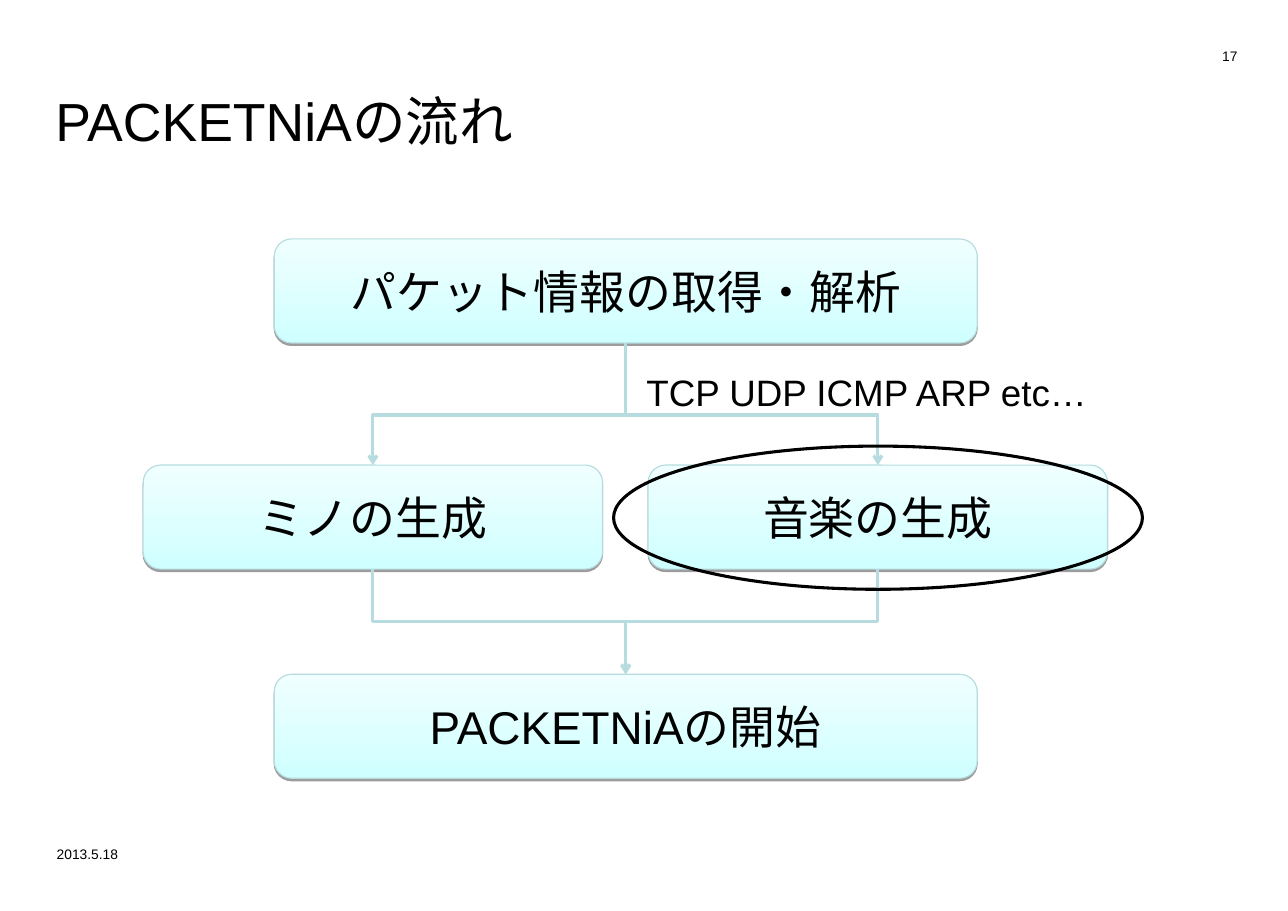
from lxml.etree import SubElement
from pptx import Presentation
from pptx.dml.color import RGBColor
from pptx.enum.shapes import MSO_CONNECTOR, MSO_SHAPE
from pptx.enum.text import MSO_ANCHOR, MSO_AUTO_SIZE, PP_ALIGN
from pptx.oxml.ns import qn
from pptx.util import Pt

COLORS = {name: RGBColor.from_string(value) for name, value in {
    "text": "000000", "line": "B6DCDF", "bottom": "CFFFFF", "top": "F0FFFF",
}.items()}


def write(shape, text, size, align=PP_ALIGN.LEFT, anchor=MSO_ANCHOR.TOP):
    frame = shape.text_frame
    frame.word_wrap = True
    frame.auto_size = MSO_AUTO_SIZE.NONE
    frame.vertical_anchor = anchor
    para = frame.paragraphs[0]
    para.alignment = align
    span = para.add_run()
    span.text = text
    span.font.size = Pt(size)
    span.font.name = "Arial"
    span.font.color.rgb = COLORS["text"]


def join_down(page, upper, lower, bend):
    """Draw an elbow arrow from the bottom of upper to the top of lower."""
    arrow = page.shapes.add_connector(MSO_CONNECTOR.ELBOW, 0, 0, 0, 0)
    arrow.begin_connect(upper, 2)
    arrow.end_connect(lower, 0)
    x1, y1, x2, y2 = arrow.begin_x, arrow.begin_y, arrow.end_x, arrow.end_y
    drop, reach = y2 - y1, abs(x2 - x1)
    # A quarter turn makes the elbow leave and arrive vertically
    arrow.left, arrow.top = (x1 + x2 - drop) // 2, (y1 + y2 - reach) // 2
    arrow.width, arrow.height = drop, reach
    frame = arrow.element.spPr.find(qn("a:xfrm"))
    frame.set("rot", "16200000" if x2 > x1 else "5400000")
    frame.set("flipH", "1" if x2 > x1 else "0")
    frame.set("flipV", "0")
    guides = arrow.element.spPr.find(qn("a:prstGeom")).get_or_add_avLst()
    SubElement(guides, qn("a:gd"), name="adj1", fmla=f"val {round(bend * 100000)}")
    arrow.line.color.rgb = COLORS["line"]
    arrow.line.width = Pt(2)
    SubElement(arrow.line._get_or_add_ln(), qn("a:tailEnd"), type="arrow")
    SubElement(arrow.element.spPr, qn("a:effectLst"))


deck = Presentation()
deck.slide_width, deck.slide_height = Pt(841.68), Pt(595.44)
page = deck.slides.add_slide(deck.slide_layouts[5])

title = page.shapes.title
title.left, title.top, title.width, title.height = Pt(29), Pt(54), Pt(757.5), Pt(69)
write(title, "PACKETNiAの流れ", 35)

# Flow boxes
WIDE, HALF, HEIGHT = 459.4, 300.2, 68
steps = []
for text, left, top, width in [
    ("パケット情報の取得・解析", 179.2, 156.2, WIDE),
    ("PACKETNiAの開始", 179.2, 440.7, WIDE),
    ("ミノの生成", 93.6, 304, HALF),
    ("音楽の生成", 423.6, 304, HALF),
]:
    box = page.shapes.add_shape(MSO_SHAPE.ROUNDED_RECTANGLE,
                                Pt(left), Pt(top), Pt(width), Pt(HEIGHT))
    box.fill.gradient()
    box.fill.gradient_angle = 90
    for stop, name in zip(box.fill.gradient_stops, ("bottom", "top")):
        stop.color.rgb = COLORS[name]
    for stop, position in zip(box.fill.gradient_stops, (0, 1)):
        stop.position = position
    box.line.color.rgb = COLORS["line"]
    box.line.width = Pt(0.75)
    box.shadow.inherit = False
    effects = box.element.spPr.find(qn("a:effectLst"))
    shadow = SubElement(effects, qn("a:outerShdw"), blurRad="0", dist=str(Pt(1.6)),
                        dir="5400000", rotWithShape="0")
    shade = SubElement(shadow, qn("a:srgbClr"), val=str(COLORS["text"]))
    SubElement(shade, qn("a:alpha"), val="38000")
    write(box, text, 30, PP_ALIGN.CENTER, MSO_ANCHOR.MIDDLE)
    steps.append(box)

capture, start, blocks, music = steps
for branch in (music, blocks):
    join_down(page, capture, branch, 0.59)
for branch in (blocks, music):
    join_down(page, branch, start, 0.5)

for text, left, top, width, height, size, align in [
    ("17", 666, 27.4, 149.8, 23.8, 9, PP_ALIGN.RIGHT),
    ("2013.5.18", 30, 549.4, 72, 18, 9, PP_ALIGN.LEFT),
    ("TCP UDP ICMP ARP etc…", 415.4, 238.3, 362.9, 36, 24, PP_ALIGN.LEFT),
]:
    label = page.shapes.add_textbox(Pt(left), Pt(top), Pt(width), Pt(height))
    write(label, text, size, align)

highlight = page.shapes.add_shape(MSO_SHAPE.OVAL, Pt(401), Pt(291.6), Pt(345.6), Pt(93.6))
highlight.fill.background()
highlight.line.color.rgb = COLORS["text"]
highlight.line.width = Pt(2)
highlight.shadow.inherit = False

deck.save("out.pptx")
